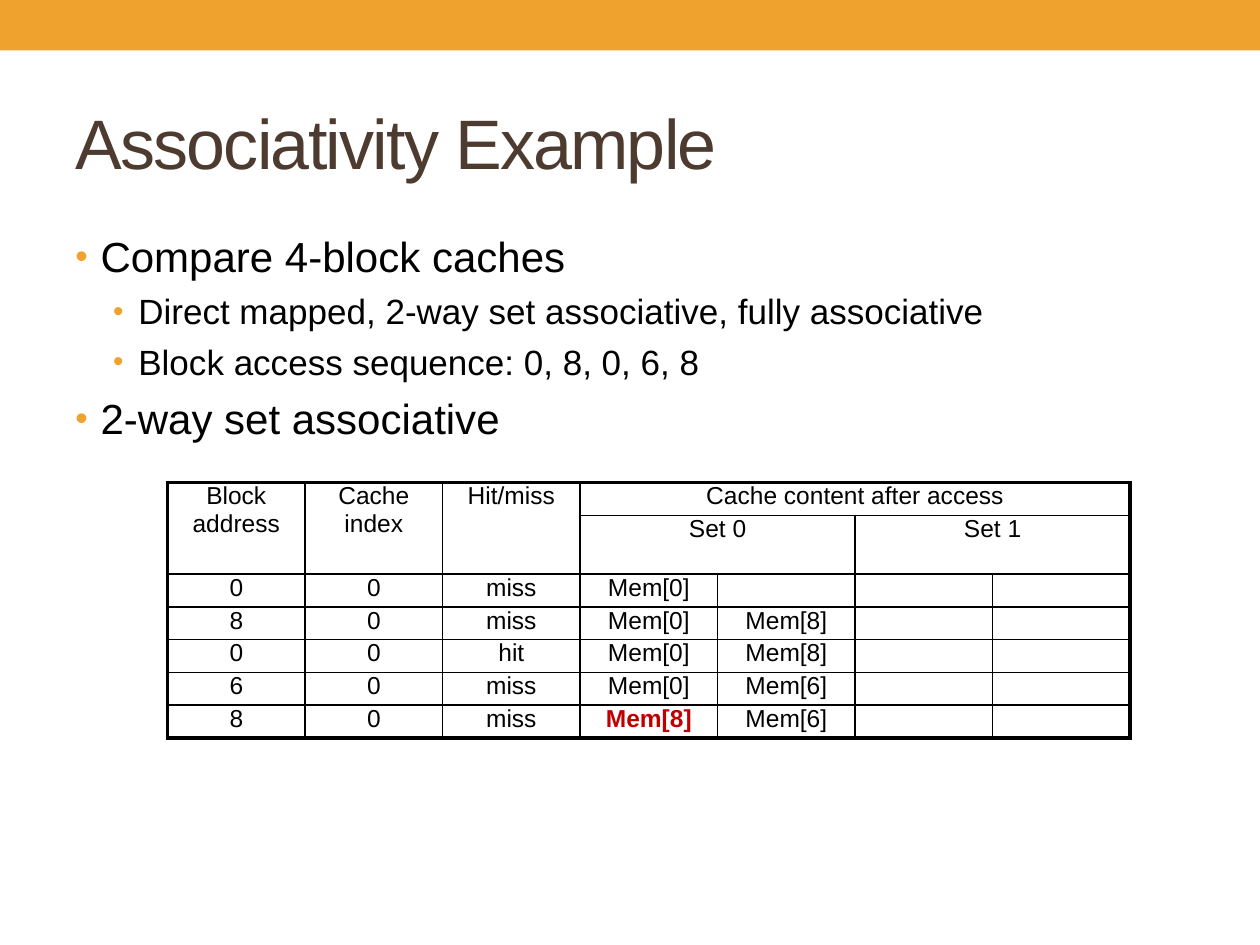
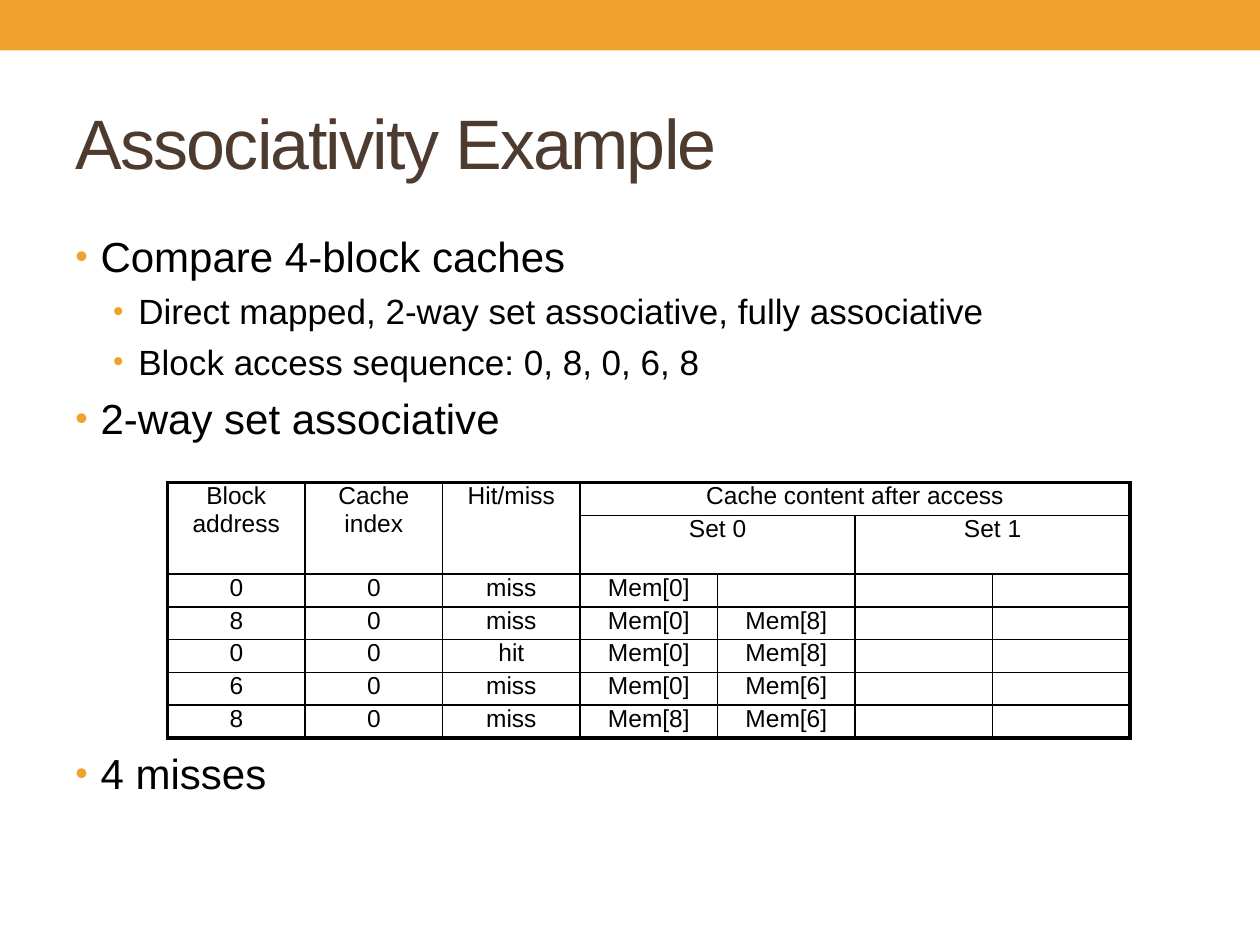
from lxml import etree
from pptx import Presentation
from pptx import util as u
from pptx.dml.color import RGBColor
from pptx.enum import shapes, text
from pptx.oxml.ns import qn

ORANGE = RGBColor(0xF0, 0xA2, 0x2E)
BROWN = RGBColor(0x4E, 0x3B, 0x30)
BLACK = RGBColor(0x00, 0x00, 0x00)
RED = RGBColor(0xC0, 0x00, 0x00)
FONT = "Arial"

# Bullet level: text size and left indent
LEVELS = [(24, 0.2), (20, 0.5)]
HANGING = 0.2
TABLE_SIZE = 14
THIN, THICK = 1, 2.25

BULLETS = [
    ("Compare 4-block caches", 0),
    ("Direct mapped, 2-way set associative, fully associative", 1),
    ("Block access sequence: 0, 8, 0, 6, 8", 1),
    ("2-way set associative", 0),
]
GAP_BELOW_TABLE = 174

ACCESSES = [
    ["Block address", "Cache index", "Hit/miss", "Cache content after access", "", "", ""],
    ["", "", "", "Set 0", "", "Set 1", ""],
    ["0", "0", "miss", "Mem[0]", "", "", ""],
    ["8", "0", "miss", "Mem[0]", "Mem[8]", "", ""],
    ["0", "0", "hit", "Mem[0]", "Mem[8]", "", ""],
    ["6", "0", "miss", "Mem[0]", "Mem[6]", "", ""],
    ["8", "0", "miss", "Mem[8]", "Mem[6]", "", ""],
]
# Merged header cells: first and last (row, column)
MERGES = [((0, column), (1, column)) for column in range(3)]
MERGES += [((0, 3), (0, 6)), ((1, 3), (1, 4)), ((1, 5), (1, 6))]
LAST_REPLACED = (6, 3)


def write(paragraph, words, size, color=BLACK, bold=False, spacing=None,
          align=text.PP_ALIGN.LEFT, before=0):
    """Add one formatted run to a paragraph."""
    paragraph.alignment = align
    paragraph.space_before = u.Pt(before)
    run = paragraph.add_run()
    run.text = words
    run.font.name = FONT
    run.font.size = u.Pt(size)
    run.font.bold = bold
    run.font.color.rgb = color
    if spacing is not None:
        run._r.get_or_add_rPr().set("spc", str(spacing * 100))


def add_bullet(paragraph, left):
    properties = paragraph._p.get_or_add_pPr()
    properties.set("marL", str(u.Inches(left)))
    properties.set("indent", str(u.Inches(-HANGING)))
    color = etree.SubElement(properties, qn("a:buClr"))
    etree.SubElement(color, qn("a:srgbClr"), val=str(ORANGE))
    etree.SubElement(properties, qn("a:buSzPct"), val="85000")
    etree.SubElement(properties, qn("a:buFont"), typeface=FONT)
    etree.SubElement(properties, qn("a:buChar"), char="•")


def set_borders(cell, widths):
    properties = cell._tc.get_or_add_tcPr()
    for side, width in widths.items():
        line = etree.SubElement(properties, qn(f"a:ln{side}"), w=str(u.Pt(width)))
        fill = etree.SubElement(line, qn("a:solidFill"))
        etree.SubElement(fill, qn("a:srgbClr"), val=str(BLACK))


class Deck:
    def __init__(self):
        self.presentation = Presentation()
        self.presentation.slide_width = u.Inches(10)
        self.presentation.slide_height = u.Inches(7.5)
        self.slide = None

    def new_slide(self, title):
        self.slide = self.presentation.slides.add_slide(self.presentation.slide_layouts[6])
        self.band()
        frame = self.text_box(0.5, 0.58, 9, 1.08)
        frame.vertical_anchor = text.MSO_ANCHOR.MIDDLE
        write(frame.paragraphs[0], title, 40, BROWN, spacing=-1)

    def band(self):
        band = self.slide.shapes.add_shape(
            shapes.MSO_SHAPE.RECTANGLE, 0, 0, u.Inches(10), u.Inches(0.4))
        band.shadow.inherit = False
        band.fill.solid()
        band.fill.fore_color.rgb = ORANGE
        band.line.fill.background()

    def text_box(self, left, top, width, height):
        box = self.slide.shapes.add_textbox(
            u.Inches(left), u.Inches(top), u.Inches(width), u.Inches(height))
        box.text_frame.word_wrap = True
        return box.text_frame

    def bullets(self, items, closing=None):
        frame = self.text_box(0.5, 1.75, 9, 5.33)
        frame.margin_top = u.Inches(0.08)
        for index, (words, level) in enumerate(items):
            paragraph = frame.add_paragraph() if index else frame.paragraphs[0]
            size, left = LEVELS[level]
            add_bullet(paragraph, left)
            paragraph.level = level
            write(paragraph, words, size, before=size / 4 if index else 0)
        # The closing point stands below the table
        if closing:
            paragraph = frame.add_paragraph()
            size, left = LEVELS[0]
            add_bullet(paragraph, left)
            write(paragraph, closing, size, before=GAP_BELOW_TABLE)

    def table(self, rows, merges, highlight=None):
        row_count, column_count = len(rows), len(rows[0])
        table = self.slide.shapes.add_table(
            row_count, column_count, u.Inches(1.33), u.Inches(3.83),
            u.Inches(7.64), u.Inches(1.99)).table
        table.first_row = table.horz_banding = False
        for index, row in enumerate(table.rows):
            row.height = u.Inches(0.44 if index == 1 else 0.26)
        for first, last in merges:
            table.cell(*first).merge(table.cell(*last))
        for r, values in enumerate(rows):
            for c, words in enumerate(values):
                cell = table.cell(r, c)
                cell.margin_top = cell.margin_bottom = 0
                height = cell.span_height if cell.is_merge_origin else 1
                width = cell.span_width if cell.is_merge_origin else 1
                if not cell.is_spanned:
                    set_borders(cell, {
                        "L": THICK if c == 0 else THIN,
                        "R": THICK if c + width == column_count else THIN,
                        "T": THICK if r == 0 else THIN,
                        "B": THICK if r + height == row_count else THIN,
                    })
                cell.fill.background()
                paragraph = cell.text_frame.paragraphs[0]
                if words:
                    marked = (r, c) == highlight
                    write(paragraph, words, TABLE_SIZE, RED if marked else BLACK,
                          bold=marked, align=text.PP_ALIGN.CENTER)
                else:
                    # Keeps empty cells as low as the filled ones
                    end = etree.SubElement(paragraph._p, qn("a:endParaRPr"))
                    end.set("sz", str(TABLE_SIZE * 100))


def main():
    deck = Deck()
    # Slide 1: the last replaced block is marked; slide 2: the result
    for highlight, closing in [(LAST_REPLACED, None), (None, "4 misses")]:
        deck.new_slide("Associativity Example")
        deck.bullets(BULLETS, closing)
        deck.table(ACCESSES, MERGES, highlight)
    deck.presentation.save("out.pptx")


if __name__ == "__main__":
    main()
